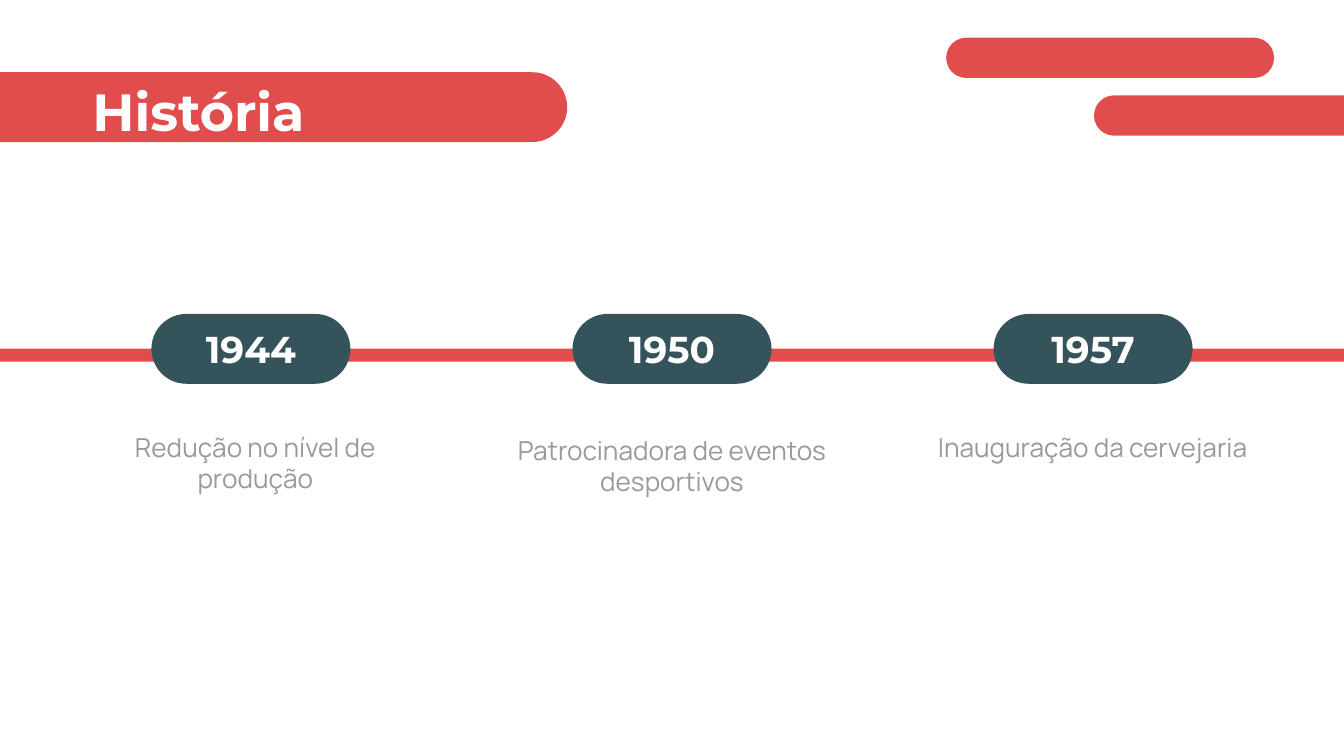
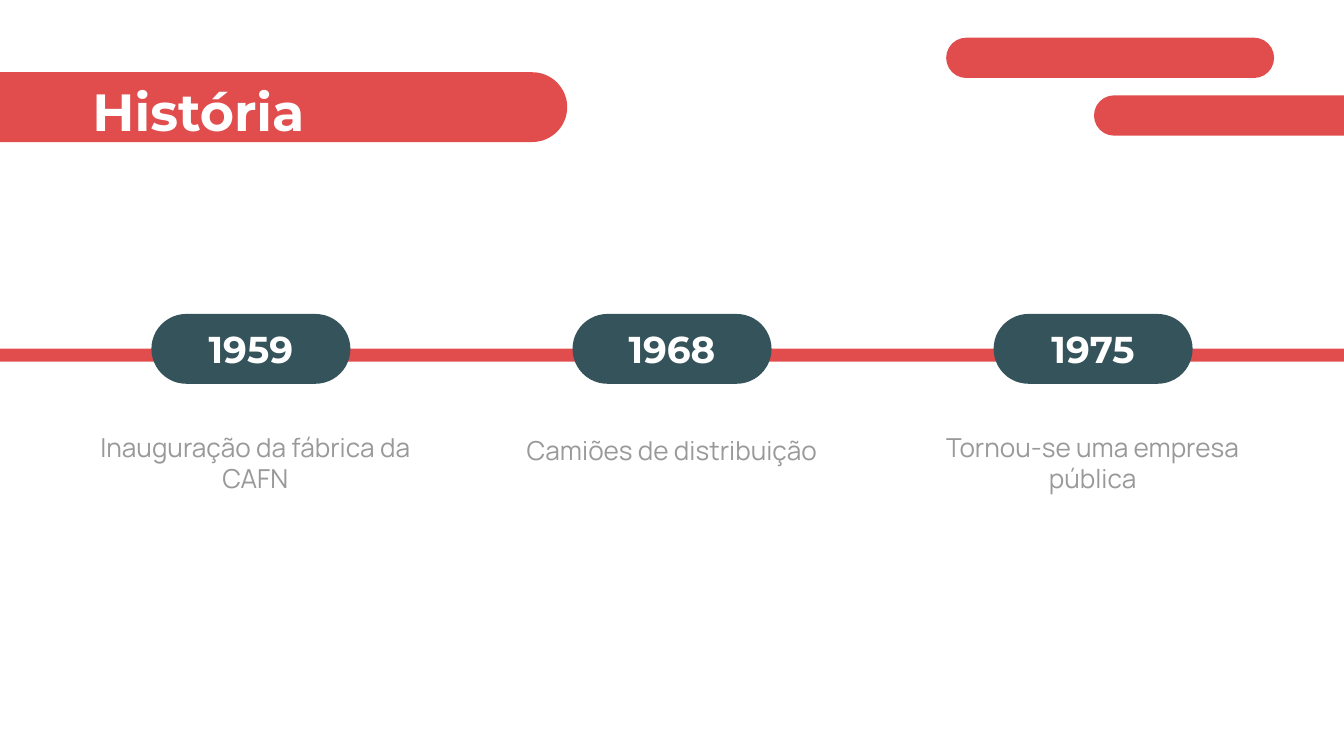
from pptx import Presentation
from pptx.dml.color import RGBColor
from pptx.enum import shapes, text
from pptx.util import Pt

COLORS = {"red": "E14D4D", "teal": "35535B", "grey": "999999", "white": "FFFFFF"}
ROUND, RECT = shapes.MSO_SHAPE.ROUNDED_RECTANGLE, shapes.MSO_SHAPE.RECTANGLE
LEFT, CENTER = text.PP_ALIGN.LEFT, text.PP_ALIGN.CENTER

# Shared decoration: left, top, width, height
BARS = [
    (506.9, 20.2, 175.7, 21.6),   # upper right
    (586.1, 51.1, 175.7, 21.6),   # lower right, runs off the edge
    (-30.2, 38.7, 334.1, 37.4),   # title band
]

# Timeline grid
PILL_W, PILL_H, PILL_TOP, PITCH = 106.6, 37.4, 168.2, 225.6
FIRST_PILL = 360 - PITCH - PILL_W / 2
CAPTION_W, CAPTION_H = 185.8, 49
CAPTION_SPOTS = [(43.9, 223.9), (267.1, 225.4), (492.5, 223.9)]

SLIDES = [
    [("1944", "Redução no nível de produção"),
     ("1950", "Patrocinadora de eventos desportivos"),
     ("1957", "Inauguração da cervejaria")],
    [("1959", "Inauguração da fábrica da CAFN"),
     ("1968", "Camiões de distribuição"),
     ("1975", "Tornou-se uma empresa pública")],
]


def add_block(s, kind, box, color):
    sp = s.shapes.add_shape(kind, *[Pt(v) for v in box])
    sp.shadow.inherit = False
    sp.fill.solid()
    sp.fill.fore_color.rgb = RGBColor.from_string(COLORS[color])
    sp.line.fill.background()
    if kind == ROUND:
        sp.adjustments[0] = 0.5
    return sp


def write(sp, words, font, size, color, align, bold=False):
    tf = sp.text_frame
    tf.word_wrap = True
    tf.margin_left = tf.margin_right = tf.margin_top = tf.margin_bottom = Pt(7.2)
    p = tf.paragraphs[0]
    p.alignment = align
    r = p.add_run()
    r.text = words
    r.font.name, r.font.size, r.font.bold = font, Pt(size), bold
    r.font.color.rgb = RGBColor.from_string(COLORS[color])
    return tf


prs = Presentation()
prs.slide_width, prs.slide_height = Pt(720), Pt(405)

for events in SLIDES:
    s = prs.slides.add_slide(prs.slide_layouts[6])

    # Bars and title
    for bar in BARS:
        add_block(s, ROUND, bar, "red")
    title = s.shapes.add_textbox(Pt(42.5), Pt(35.3), Pt(316.8), Pt(45.4))
    write(title, "História", "Montserrat", 28, "white", LEFT, bold=True)

    # Timeline rail
    add_block(s, RECT, (0, 186.8, 765.4, 7), "red")

    # Years and captions
    for i, (year, caption) in enumerate(events):
        pill = add_block(s, ROUND, (FIRST_PILL + i * PITCH, PILL_TOP, PILL_W, PILL_H), "teal")
        tf = write(pill, year, "Montserrat", 20, "white", CENTER, bold=True)
        tf.vertical_anchor = text.MSO_ANCHOR.MIDDLE

        x, y = CAPTION_SPOTS[i]
        box = s.shapes.add_textbox(Pt(x), Pt(y), Pt(CAPTION_W), Pt(CAPTION_H))
        write(box, caption, "Manrope", 14, "grey", CENTER)

prs.save("out.pptx")
